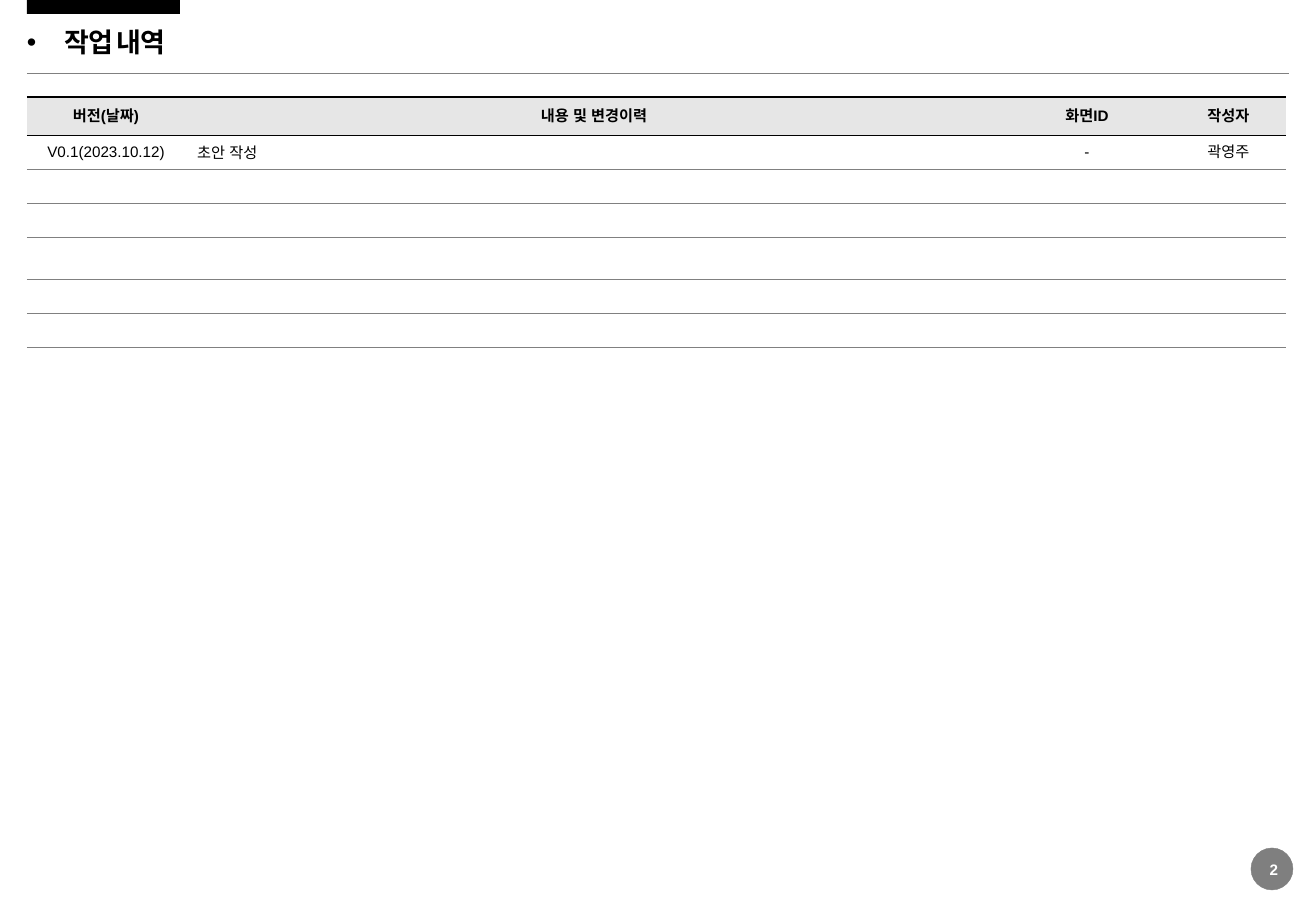
from lxml import etree
from pptx import Presentation
from pptx.dml.color import RGBColor
from pptx.enum.shapes import MSO_CONNECTOR, MSO_SHAPE
from pptx.enum.text import MSO_ANCHOR, MSO_AUTO_SIZE, PP_ALIGN
from pptx.oxml.ns import qn
from pptx.util import Pt

LEFT, CENTER = PP_ALIGN.LEFT, PP_ALIGN.CENTER
MIDDLE = MSO_ANCHOR.MIDDLE
NO_AUTOFIT = MSO_AUTO_SIZE.NONE
RECTANGLE, OVAL = MSO_SHAPE.RECTANGLE, MSO_SHAPE.OVAL
STRAIGHT = MSO_CONNECTOR.STRAIGHT
PX = 7526

THEME = {
    "black": "000000", "gray": "808080", "header": "E6E6E6", "white": "FFFFFF",
    "heading_font": "Noto Sans CJK KR", "text_font": "Arial",
    "heading_size": 16, "text_size": 9, "thin": 0.25, "thick": 1,
}


def style_text(paragraph, size, family, color, bold, align):
    paragraph.alignment = align
    font = paragraph.font
    font.size, font.bold = Pt(THEME[size]), bold
    font.color.rgb = RGBColor.from_string(THEME[color])
    font.name = THEME[family]
    etree.SubElement(font._element, qn("a:ea"), typeface=THEME[family])


def set_borders(cell, top, bottom):
    edges = [("a:lnL", None), ("a:lnR", None), ("a:lnT", top), ("a:lnB", bottom)]
    for index, (tag, edge) in enumerate(edges):
        border = etree.Element(qn(tag))
        if edge:
            color, width = edge
            border.set("w", str(Pt(THEME[width])))
            fill = etree.SubElement(border, qn("a:solidFill"))
            etree.SubElement(fill, qn("a:srgbClr"), val=THEME[color])
        else:
            border.set("w", "0")
            etree.SubElement(border, qn("a:noFill"))
        cell._tc.get_or_add_tcPr().insert(index, border)


prs = Presentation()
prs.slide_width, prs.slide_height = 1316 * PX, 911 * PX
slide = prs.slides.add_slide(prs.slide_layouts[5])
shapes = slide.shapes

top_bar = shapes.add_shape(RECTANGLE, 27 * PX, 0, 153 * PX, 14 * PX)
top_bar.shadow.inherit = False
top_bar.fill.solid()
top_bar.fill.fore_color.rgb = RGBColor.from_string(THEME["black"])
top_bar.line.fill.background()

heading_rule = shapes.add_connector(STRAIGHT, 27 * PX, 73 * PX, 1289 * PX, 73 * PX)
heading_rule.line.color.rgb = RGBColor.from_string(THEME["gray"])
heading_rule.line.width = Pt(THEME["thin"])
etree.SubElement(heading_rule._element.spPr, qn("a:effectLst"))

heading = shapes.title
heading.left, heading.top, heading.width, heading.height = 27 * PX, 25 * PX, 790 * PX, 38 * PX
heading_frame = heading.text_frame
heading_frame.text = "작업 내역"
heading_frame.word_wrap = False
heading_frame.auto_size = NO_AUTOFIT
heading_frame.vertical_anchor = MIDDLE
heading_frame.margin_left = heading_frame.margin_right = 0
heading_frame.margin_top = heading_frame.margin_bottom = 0
heading_line = heading_frame.paragraphs[0]
heading_line.line_spacing = 0.9
heading_line.space_before = Pt(8.1)
heading_props = heading_line._p.get_or_add_pPr()
heading_props.set("marL", str(38 * PX))
heading_props.set("indent", str(-38 * PX))
etree.SubElement(heading_props, qn("a:buFont"), typeface=THEME["text_font"])
etree.SubElement(heading_props, qn("a:buChar"), char="•")
style_text(heading_line, "heading_size", "heading_font", "black", True, LEFT)
heading_line.font._element.set("spc", "-70")

HISTORY = [
    ["버전(날짜)", "내용 및 변경이력", "화면ID", "작성자"],
    ["V0.1(2023.10.12)", "초안 작성", "-", "곽영주"],
]
COLUMN_WIDTHS = [158, 818, 168, 115]
ROW_HEIGHTS = [38, 34, 34, 34, 42, 34, 34]
history = shapes.add_table(
    len(ROW_HEIGHTS), len(COLUMN_WIDTHS), 27 * PX, 97 * PX,
    sum(COLUMN_WIDTHS) * PX, sum(ROW_HEIGHTS) * PX,
).table
history.first_row = history.horz_banding = False
for column, width in zip(history.columns, COLUMN_WIDTHS):
    column.width = width * PX

for r, height in enumerate(ROW_HEIGHTS):
    history.rows[r].height = height * PX
    is_header = r == 0
    top = ("black", "thick") if is_header else ("black" if r == 1 else "gray", "thin")
    bottom = ("black" if is_header else "gray", "thin")
    for c in range(len(COLUMN_WIDTHS)):
        cell = history.cell(r, c)
        cell.vertical_anchor = MIDDLE
        cell.margin_top = cell.margin_bottom = 0
        cell.fill.solid()
        cell.fill.fore_color.rgb = RGBColor.from_string(THEME["header" if is_header else "white"])
        set_borders(cell, top, bottom)
        entry = cell.text_frame.paragraphs[0]
        if r < len(HISTORY):
            entry.text = HISTORY[r][c]
            is_description = r == 1 and c == 1
            if is_description:
                entry.line_spacing = Pt(12)
            style_text(entry, "text_size", "text_font", "black", is_header,
                       LEFT if is_description else CENTER)
        else:
            entry._p.get_or_add_endParaRPr().set("sz", str(THEME["text_size"] * 100))

page_badge = shapes.add_shape(OVAL, 1251 * PX, 848 * PX, 42 * PX, 42 * PX)
page_badge.shadow.inherit = False
page_badge.fill.solid()
page_badge.fill.fore_color.rgb = RGBColor.from_string(THEME["black"])
badge_color = page_badge._element.spPr.find(qn("a:solidFill")).find(qn("a:srgbClr"))
etree.SubElement(badge_color, qn("a:alpha"), val="50000")
page_badge.line.color.rgb = RGBColor.from_string(THEME["gray"])
page_badge.line.width = Pt(THEME["thin"])

page_number = shapes.add_textbox(1264 * PX, 860 * PX, 20 * PX, 18 * PX)
number_frame = page_number.text_frame
number_frame.text = "2"
number_frame.word_wrap = False
number_frame.vertical_anchor = MIDDLE
number_frame.margin_left = number_frame.margin_right = 0
number_frame.margin_top = number_frame.margin_bottom = 0
style_text(number_frame.paragraphs[0], "text_size", "text_font", "white", True, CENTER)

prs.save("out.pptx")
